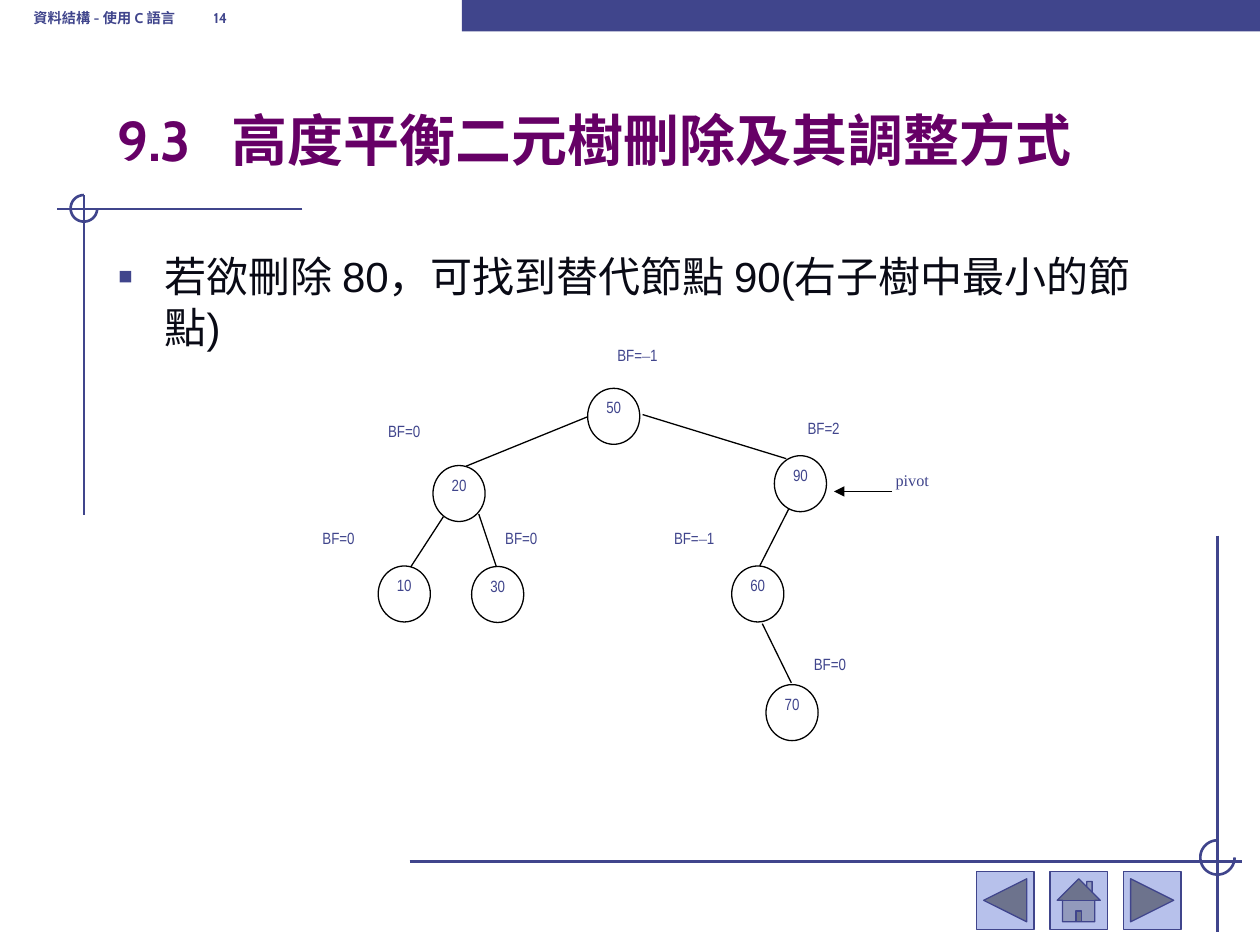
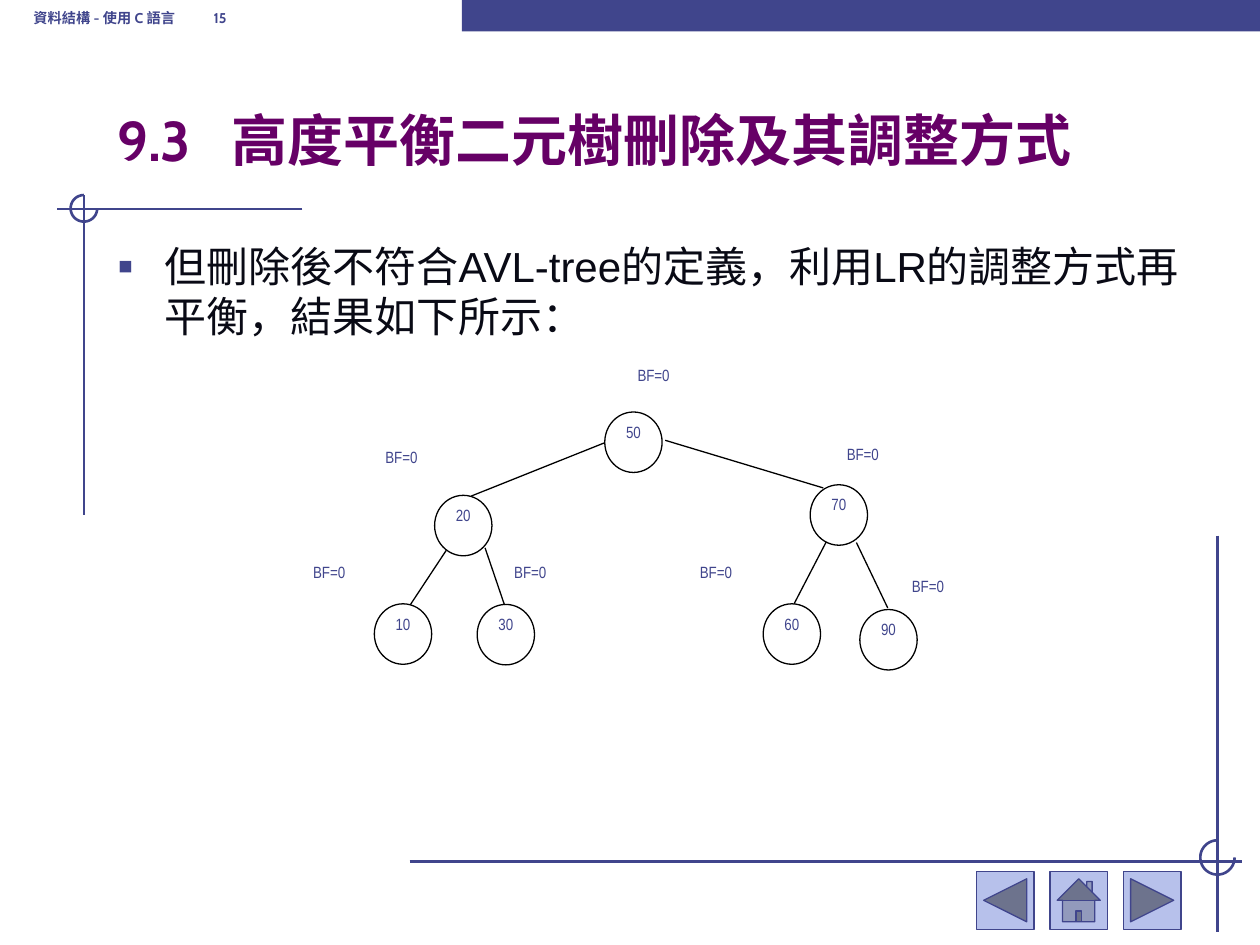
from itertools import groupby
from math import cos, radians, sin

from lxml.etree import SubElement
from pptx import Presentation
from pptx.dml.color import RGBColor
from pptx.enum.shapes import MSO_CONNECTOR as Connector, MSO_SHAPE as Preset
from pptx.enum.text import MSO_ANCHOR as Anchor, PP_ALIGN as Align
from pptx.oxml.ns import qn
from pptx.util import Pt

NAVY, PALE, PLUM, INK = "40458C", "B7C1EB", "660066", "090A15"
BLACK, WHITE = "000000", "FFFFFF"

HEADER = {"name": "Cabin", "size": Pt(14), "bold": True, "color": NAVY}
TITLE = {"name": "Cabin", "size": Pt(32), "bold": True, "color": PLUM}
BODY = {"name": "Arial", "size": Pt(24), "color": INK}
TREE = {"name": "Arial Narrow", "size": Pt(16), "color": NAVY}
SERIF = {**TREE, "name": "Times New Roman"}
NO_MARGIN = dict.fromkeys(
    ("margin_left", "margin_top", "margin_right", "margin_bottom"), 0)

# Offsets from the centre of the root node
NODES = {
    "root": (0, 0), "left": (-88.4, 44.1), "right": (106.7, 38.5),
    "10": (-119.7, 101.5), "30": (-66.3, 101.8), "60": (82.3, 101.5),
}
EDGES = [
    (-84.3, 28.5, -15.2, 0.4), (16.5, -1, 98.6, 24.2),
    (-116, 86.1, -97.3, 57.3), (-77.1, 55.9, -67, 86.1),
    (83.5, 85.4, 100, 53),
]
LABELS = {
    "root": (2.1, -41.3), "left": (-128.9, 1.9), "right": (110.8, 0.4),
    "10": (-166.4, 63.1), "30": (-62, 63.1), "60": (34.5, 63.1),
}

TREE_SLIDES = [
    {
        "number": 14, "body_top": 139.7,
        "body": "若欲刪除 80，可找到替代節點 90(右子樹中最小的節點)",
        "origin": (350.7, 237.9), "scale": (1, 1),
        "keys": {"root": "50", "left": "20", "right": "90"},
        "factors": {"root": "–1", "right": "2", "60": "–1"},
        "leaf": "70", "leaf_at": (101.9, 169.3),
        "leaf_edge": (84.9, 118.5, 101.5, 152.3), "leaf_label": (114.4, 135.1),
        "pivot": True,
    },
    {
        "number": 15, "body_top": 133.9,
        "body": "但刪除後不符合AVL-tree的定義，利用LR的調整方式再平衡，結果如下所示：",
        "origin": (362, 252.7), "scale": (1.1, 1.08),
        "keys": {"root": "50", "left": "20", "right": "70"},
        "factors": {},
        "leaf": "90", "leaf_at": (132.5, 104.5),
        "leaf_edge": (115.8, 53.1, 132.1, 87.7), "leaf_label": (144.6, 70.4),
        "pivot": False,
    },
]


def rgb(value):
    return RGBColor.from_string(value)


class Deck:
    def __init__(self):
        self.presentation = Presentation()
        self.presentation.slide_width = Pt(720)
        self.presentation.slide_height = Pt(540)
        self.slide = None

    def new_slide(self):
        layout = self.presentation.slide_layouts[6]
        self.slide = self.presentation.slides.add_slide(layout)

    def paint(self, shape, fill=None, line=None, width=0.75):
        shape.shadow.inherit = False
        if fill:
            shape.fill.solid()
            shape.fill.fore_color.rgb = rgb(fill)
        else:
            shape.fill.background()
        if line:
            shape.line.color.rgb = rgb(line)
            shape.line.width = Pt(width)
        else:
            shape.line.fill.background()

    def shape(self, preset, x, y, width, height, **colors):
        shape = self.slide.shapes.add_shape(
            preset, Pt(x), Pt(y), Pt(width), Pt(height))
        self.paint(shape, **colors)
        return shape

    def box(self, x, y, width, height):
        return self.slide.shapes.add_textbox(
            Pt(x), Pt(y), Pt(width), Pt(height))

    def line(self, x1, y1, x2, y2, color=BLACK, width=0.75, arrow=False):
        line = self.slide.shapes.add_connector(
            Connector.STRAIGHT, Pt(x1), Pt(y1), Pt(x2), Pt(y2))
        line.line.color.rgb = rgb(color)
        line.line.width = Pt(width)
        properties = line._element.spPr
        if arrow:
            SubElement(properties.find(qn("a:ln")), qn("a:tailEnd"), type="triangle")
        SubElement(properties, qn("a:effectLst"))

    def arc(self, x, y, radius):
        points = [(Pt(x + radius * cos(radians(a))), Pt(y + radius * sin(radians(a))))
                  for a in range(0, 271, 5)]
        builder = self.slide.shapes.build_freeform(*points[0])
        builder.add_line_segments(points[1:], close=False)
        self.paint(builder.convert_to_shape(), line=NAVY, width=1.5)

    def put_text(self, shape, text, style, frame=None, paragraph=None,
                 raised=False, tab=None, bullet=None):
        text_frame = shape.text_frame
        settings = {"word_wrap": True, "vertical_anchor": Anchor.TOP, **(frame or {})}
        for name, value in settings.items():
            setattr(text_frame, name, value)
        target = text_frame.paragraphs[0]
        for name, value in {"alignment": Align.LEFT, **(paragraph or {})}.items():
            setattr(target, name, value)
        properties = target._p.get_or_add_pPr()
        if bullet:
            properties.set("marL", str(Pt(27)))
            properties.set("indent", str(Pt(-27)))
            color = SubElement(properties, qn("a:buClr"))
            SubElement(color, qn("a:srgbClr"), val=NAVY)
            SubElement(properties, qn("a:buSzPct"), val="110000")
            SubElement(properties, qn("a:buFont"), typeface="Arial")
            SubElement(properties, qn("a:buChar"), char=bullet)
        if tab:
            stops = SubElement(properties, qn("a:tabLst"))
            SubElement(stops, qn("a:tab"), pos=str(Pt(tab)), algn="l")
        for dash, letters in groupby(text, lambda letter: letter == "–"):
            run = target.add_run()
            run.text = "".join(letters)
            for name, value in (SERIF if dash else style).items():
                if name == "color":
                    run.font.color.rgb = rgb(value)
                else:
                    setattr(run.font, name, value)
            if raised:
                run._r.get_or_add_rPr().set("baseline", "30000")

    def frame(self, number):
        self.line(172.8, 119.4, 32.4, 119.4, NAVY, 1.5)
        self.line(48, 111.6, 48, 294.5, NAVY, 1.5)
        self.arc(48, 119.1, 7.6)
        self.shape(Preset.RECTANGLE, 264, 0, 456, 18, fill=NAVY)
        buttons = (Preset.ACTION_BUTTON_BACK_OR_PREVIOUS, Preset.ACTION_BUTTON_HOME,
                   Preset.ACTION_BUTTON_FORWARD_OR_NEXT)
        for index, button in enumerate(buttons):
            self.shape(button, 558 + 42 * index, 498, 32.8, 33, fill=PALE, line=NAVY)
        self.line(234, 492.2, 709.8, 492.2, NAVY, 1.5)
        self.line(695.6, 306, 695.6, 532.6, NAVY, 1.5)
        self.arc(695.7, 490, 9.8)
        self.put_text(self.box(12, -12, 222, 36), f"資料結構 - 使用 C 語言\t{number}",
                      HEADER, {"vertical_anchor": Anchor.BOTTOM}, raised=True, tab=103)

    def title(self, text):
        self.put_text(self.box(60, 42, 612, 60), text, TITLE,
                      {"vertical_anchor": Anchor.BOTTOM}, tab=65)

    def body(self, text, top):
        self.put_text(self.box(60, top, 623.5, 293), text, BODY, bullet="▪")

    def node(self, text, x, y, width, height):
        circle = self.shape(Preset.OVAL, x - width / 2, y - height / 2,
                            width, height, line=BLACK)
        self.put_text(circle, text, TREE, NO_MARGIN,
                      {"alignment": Align.CENTER, "line_spacing": 0.96}, raised=True)

    def balance(self, factor, x, y, width, height):
        self.put_text(self.box(x, y, width, height), f"BF={factor}", TREE,
                      NO_MARGIN, {"line_spacing": 0.96}, raised=True)

    def tree(self, origin, scale, keys, factors, leaf, leaf_at, leaf_edge, leaf_label):
        def place(x, y):
            return origin[0] + scale[0] * x, origin[1] + scale[1] * y

        def sized(width, height):
            return width * scale[0], height * scale[1]

        for name, spot in {**NODES, leaf: leaf_at}.items():
            self.node(keys.get(name, name), *place(*spot), *sized(29.8, 32))
        for x1, y1, x2, y2 in EDGES + [leaf_edge]:
            self.line(*place(x1, y1), *place(x2, y2))
        for name, spot in {**LABELS, leaf: leaf_label}.items():
            self.balance(factors.get(name, "0"), *place(*spot), *sized(44, 21))

    def pivot(self):
        label = self.shape(Preset.RECTANGLE, 504.7, 263.5, 59, 44, line=WHITE)
        self.put_text(label, "pivot", SERIF, raised=True)
        self.line(509.8, 280.8, 476.6, 280.8, arrow=True)


def main():
    deck = Deck()
    for content in TREE_SLIDES:
        deck.new_slide()
        deck.frame(content["number"])
        deck.title("9.3\t高度平衡二元樹刪除及其調整方式")
        deck.body(content["body"], content["body_top"])
        deck.tree(*(content[name] for name in (
            "origin", "scale", "keys", "factors",
            "leaf", "leaf_at", "leaf_edge", "leaf_label")))
        if content["pivot"]:
            deck.pivot()
    deck.presentation.save("out.pptx")


if __name__ == "__main__":
    main()
